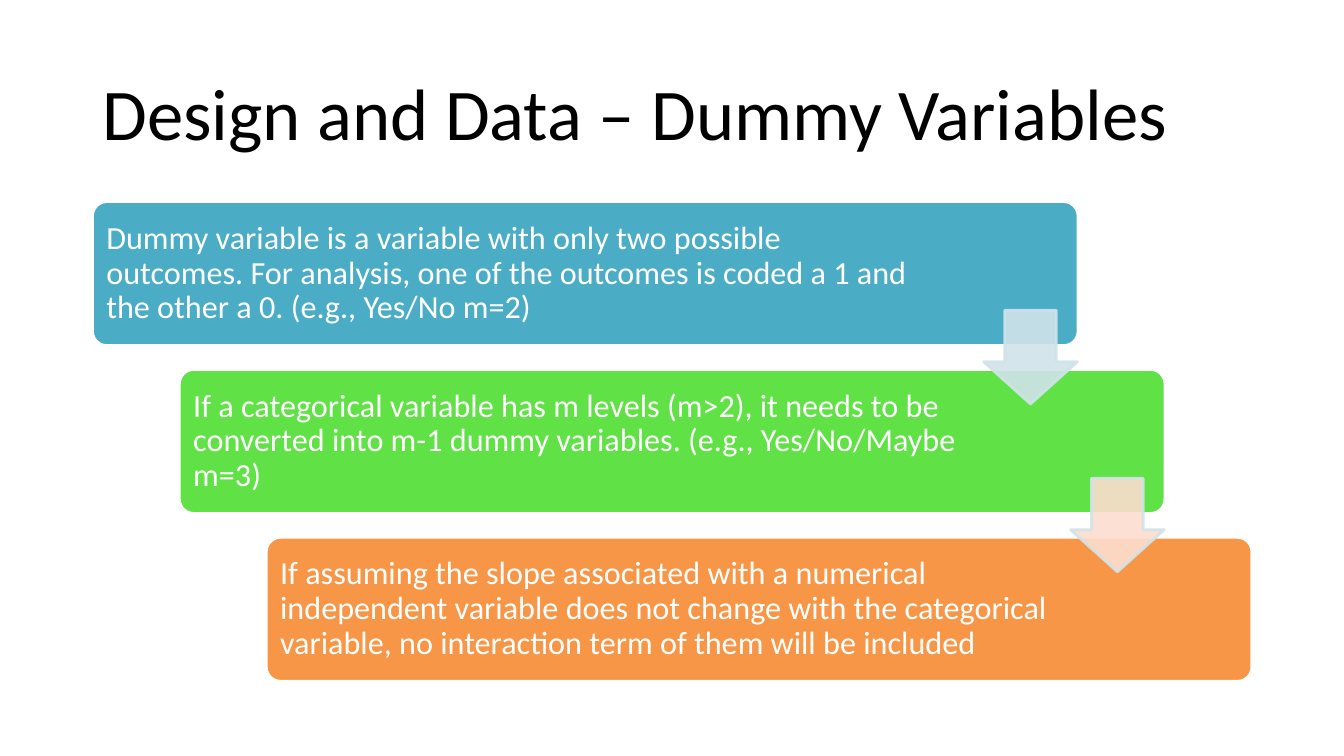
from lxml import etree
from pptx import Presentation
from pptx.dml.color import RGBColor
from pptx.enum.shapes import MSO_SHAPE
from pptx.enum.text import MSO_ANCHOR, PP_ALIGN
from pptx.oxml.ns import qn
from pptx.util import Cm, Pt

ROUND, ARROW = MSO_SHAPE.ROUNDED_RECTANGLE, MSO_SHAPE.DOWN_ARROW
TOP, MIDDLE = MSO_ANCHOR.TOP, MSO_ANCHOR.MIDDLE
LEFT = PP_ALIGN.LEFT
FONT = "Calibri"

TITLE = ["Design and Data – Dummy ", "Variables"]
STEPS = [  # text, fill, text width in cm
    ("Dummy variable is a variable with only two possible outcomes. "
     "For analysis, one of the outcomes is coded a 1 and the other a 0. "
     "(e.g., Yes/No m=2)", "4BACC6", 20.9),
    ("If a categorical variable has m levels (m>2), it needs to be "
     "converted into m-1 dummy variables. (e.g., Yes/No/Maybe m=3)",
     "60E146", 20.07),
    ("If assuming the slope associated with a numerical independent "
     "variable does not change with the categorical variable, no "
     "interaction term of them will be included", "F79646", 20.07),
]
ARROWS = ["D0E3EA", "FCDDCF"]
EDGE = "D0E3EA"

X, Y = 2.33, 5.08            # first step, cm
DX, DY = 2.19, 4.23          # shift from step to step
WIDE, HIGH = 24.84, 3.63
PAD = 0.11                   # step edge to text box
ARROW_X, ARROW_Y, SIDE = 22.46, 2.74, 2.36


def color(code):
    return RGBColor.from_string(code)


def add_run(para, text, size, code):
    run = para.add_run()
    run.text = text
    run.font.name = FONT
    run.font.size = Pt(size)
    run.font.color.rgb = color(code)


def add_form(slide, kind, box, fill, edge, adjust):
    """Add a filled preset shape; box is left, top, width, height in cm."""
    form = slide.shapes.add_shape(kind, *map(Cm, box))
    form.shadow.inherit = False
    form.fill.solid()
    form.fill.fore_color.rgb = color(fill)
    form.line.color.rgb = color(edge)
    form.line.width = Pt(2)
    for i, value in enumerate(adjust):
        form.adjustments[i] = value
    return form


def fade(form, share):
    """Give the fill and line of a shape an opacity in percent."""
    for tone in form._element.spPr.iter(qn("a:srgbClr")):
        etree.SubElement(tone, qn("a:alpha")).set("val", str(share * 1000))


def add_title(slide):
    title = slide.shapes.title
    title.left, title.top = Cm(X), Cm(1.55)
    title.width, title.height = Cm(29.21), Cm(3.15)
    frame = title.text_frame
    frame.vertical_anchor = TOP
    frame.margin_top = Cm(0.16)
    para = frame.paragraphs[0]
    para.alignment = LEFT
    for text in TITLE:
        add_run(para, text, 52, "000000")


def add_step(slide, i, text, fill, width):
    left, top = X + i * DX, Y + i * DY
    add_form(slide, ROUND, (left, top, WIDE, HIGH), fill, "FFFFFF", [0.1])
    box = slide.shapes.add_textbox(Cm(left + PAD), Cm(top + PAD),
                                   Cm(width), Cm(HIGH - 2 * PAD))
    frame = box.text_frame
    frame.word_wrap = True
    frame.vertical_anchor = MIDDLE
    frame.margin_left = frame.margin_right = Cm(0.24)
    frame.margin_top = frame.margin_bottom = Cm(0.24)
    para = frame.paragraphs[0]
    para.alignment = LEFT
    para.line_spacing = 0.9
    add_run(para, text, 23, "FFFFFF")


def main():
    deck = Presentation()
    deck.slide_width, deck.slide_height = Cm(33.87), Cm(19.05)
    slide = deck.slides.add_slide(deck.slide_layouts[5])
    add_title(slide)
    for i, step in enumerate(STEPS):
        add_step(slide, i, *step)
    for i, fill in enumerate(ARROWS):
        box = (X + i * DX + ARROW_X, Y + i * DY + ARROW_Y, SIDE, SIDE)
        # The head's length comes second, the shaft's width first... 
        arrow = add_form(slide, ARROW, box, fill, EDGE, [0.55, 0.45])
        fade(arrow, 90)
    deck.save("out.pptx")


if __name__ == "__main__":
    main()
